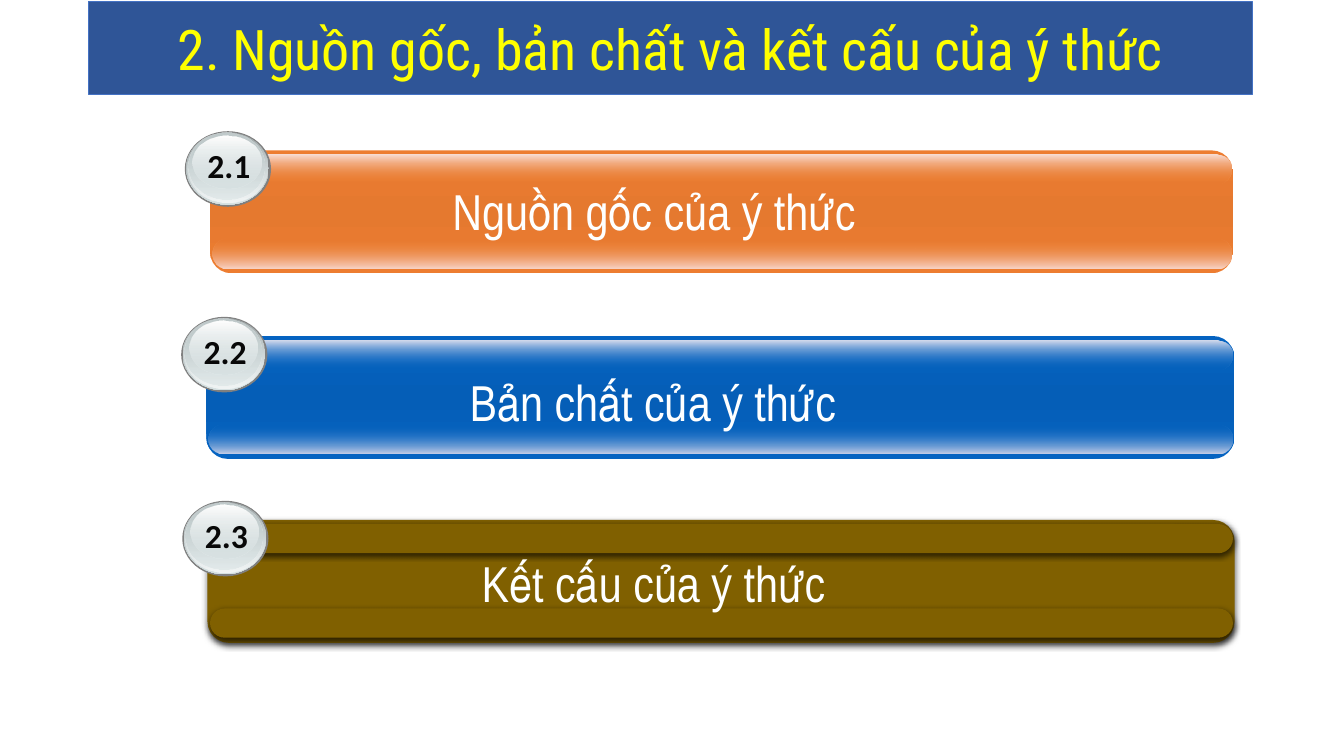
from pptx import Presentation
from pptx.dml.color import RGBColor
from pptx.enum.shapes import MSO_SHAPE
from pptx.enum.text import MSO_ANCHOR, PP_ALIGN
from pptx.oxml import parse_xml
from pptx.oxml.ns import nsdecls, qn
from pptx.util import Pt

# Layers of the round badge: left, top, width, height from the bar's corner, fill
BADGE = [
    (-18, -13.7, 61.6, 54, "808080"),
    (-17, -13, 59, 51.8, [(0, "99A1A2", 100), (100, "D6E1E2", 100)]),
    (-16.2, -12.8, 57.4, 50.4, [(0, "D6E1E2", 0), (100, "F2F5F5", 100)]),
    (-15.5, -12.4, 54.7, 47.5, [(0, "C1CBCC", 100), (100, "D6E1E2", 48)]),
    (-12.2, -10.8, 48.8, 38.2, [(0, "FFFFFF", 100), (100, "D6E1E2", 38)]),
]


def color(code):
    return RGBColor.from_string(code)


class Deck:
    def __init__(self):
        self.file = Presentation()
        self.file.slide_width, self.file.slide_height = Pt(960), Pt(540)
        self.slide = self.file.slides.add_slide(self.file.slide_layouts[6])

    def shape(self, kind, left, top, width, height, fill, round=None):
        """Add a shape whose fill is a colour or a list of (place, colour, opacity)."""
        item = self.slide.shapes.add_shape(
            kind, Pt(left), Pt(top), Pt(width), Pt(height))
        item.shadow.inherit = False
        item.line.fill.background()
        if round is not None:
            item.adjustments[0] = round
        if isinstance(fill, str):
            item.fill.solid()
            item.fill.fore_color.rgb = color(fill)
        else:
            self.blend(item, fill)
        return item

    def blend(self, item, stops):
        """Fill the shape with a gradient from top to bottom."""
        item.fill.gradient()
        item.fill.gradient_angle = 270
        group = item._element.spPr.find(".//" + qn("a:gsLst"))
        for old in list(group):
            group.remove(old)
        for place, code, solid in stops:
            group.append(parse_xml(
                f'<a:gs {nsdecls("a")} pos="{place * 1000}"><a:srgbClr val="{code}">'
                f'<a:alpha val="{solid * 1000}"/></a:srgbClr></a:gs>'))

    def shade(self, item):
        """Give the shape a soft shadow below it."""
        group = item._element.spPr.find(qn("a:effectLst"))
        group.append(parse_xml(
            f'<a:outerShdw {nsdecls("a")} blurRad="{Pt(4.5)}" dist="{Pt(1.5)}" '
            'dir="5400000" rotWithShape="0"><a:srgbClr val="000000">'
            '<a:alpha val="63000"/></a:srgbClr></a:outerShdw>'))

    def words(self, item, text, size, font, code, bold=False):
        """Put one centred line of text into the shape."""
        line = item.text_frame.paragraphs[0]
        line.text = text
        line.alignment = PP_ALIGN.CENTER
        face = line.runs[0].font
        face.size, face.name, face.bold = Pt(size), font, bold
        face.color.rgb = color(code)

    def label(self, left, top, width, height, *style, wrap=True):
        box = self.slide.shapes.add_textbox(
            Pt(left), Pt(top), Pt(width), Pt(height))
        box.text_frame.word_wrap = wrap
        self.words(box, *style)

    def title(self, text):
        band = self.shape(MSO_SHAPE.RECTANGLE, 63.4, 1.2, 831, 66.4, "2F5597")
        band.line.color.rgb = color("4472C4")
        band.line.width = Pt(0.5)
        band.text_frame.word_wrap = True
        band.text_frame.vertical_anchor = MSO_ANCHOR.MIDDLE
        self.words(band, text, 40, "Roboto Condensed", "FFFF00")

    def entry(self, mark, text, left, top, width, drop, fills, dark=False):
        """Add a glossy bar with its numbered badge; drop is the text's offset."""
        base, foot, head = fills
        kind = MSO_SHAPE.ROUNDED_RECTANGLE
        bars = [
            self.shape(kind, left, top, width, 87.8, base, 0.175),
            self.shape(kind, left + 1.8, top + 63.2, width - 3, 20.9, foot, 0.5),
            self.shape(kind, left + 1.8, top + 2.9, width - 3, 20.9, head, 0.5),
        ]
        if dark:
            for bar in bars:
                self.shade(bar)
        for x, y, wide, high, fill in BADGE:
            self.shape(MSO_SHAPE.OVAL, left + x, top + y, wide, high, fill)
        self.label(left - 9.6, top - 7.2, 46, 36,
                   mark, 24, "Calibri", "080808", True, wrap=False)
        self.label(left + 34.6, top + drop, width - 165.6, 51,
                   text, 36, "Arial Narrow", "FEFFFF")


def gloss(main, mid, low, high):
    """Return the fills of the bar, its lower shine and its upper shine."""
    return ([(0, main, 100), (50, mid, 100), (100, main, 100)],
            [(0, main, 0), (100, low, 100)],
            [(0, high, 100), (100, main, 0)])


def main():
    deck = Deck()
    deck.title("2. Nguồn gốc, bản chất và kết cấu của ý thức")
    deck.entry("2.1", "Nguồn gốc của ý thức", 150, 107.4, 730.8, 18,
               gloss("ED7D31", "E5792F", "F8D6CC", "F9DFD7"))
    deck.entry("2.2", "Bản chất của ý thức", 147.4, 240, 734.4, 21.6,
               gloss("0563C1", "055EB7", "CAD1E8", "D6DBED"))
    deck.entry("2.3", "Kết cấu của ý thức", 148.2, 371.4, 733.7, 19.6,
               ["806000"] * 3, dark=True)
    deck.file.save("out.pptx")


if __name__ == "__main__":
    main()
